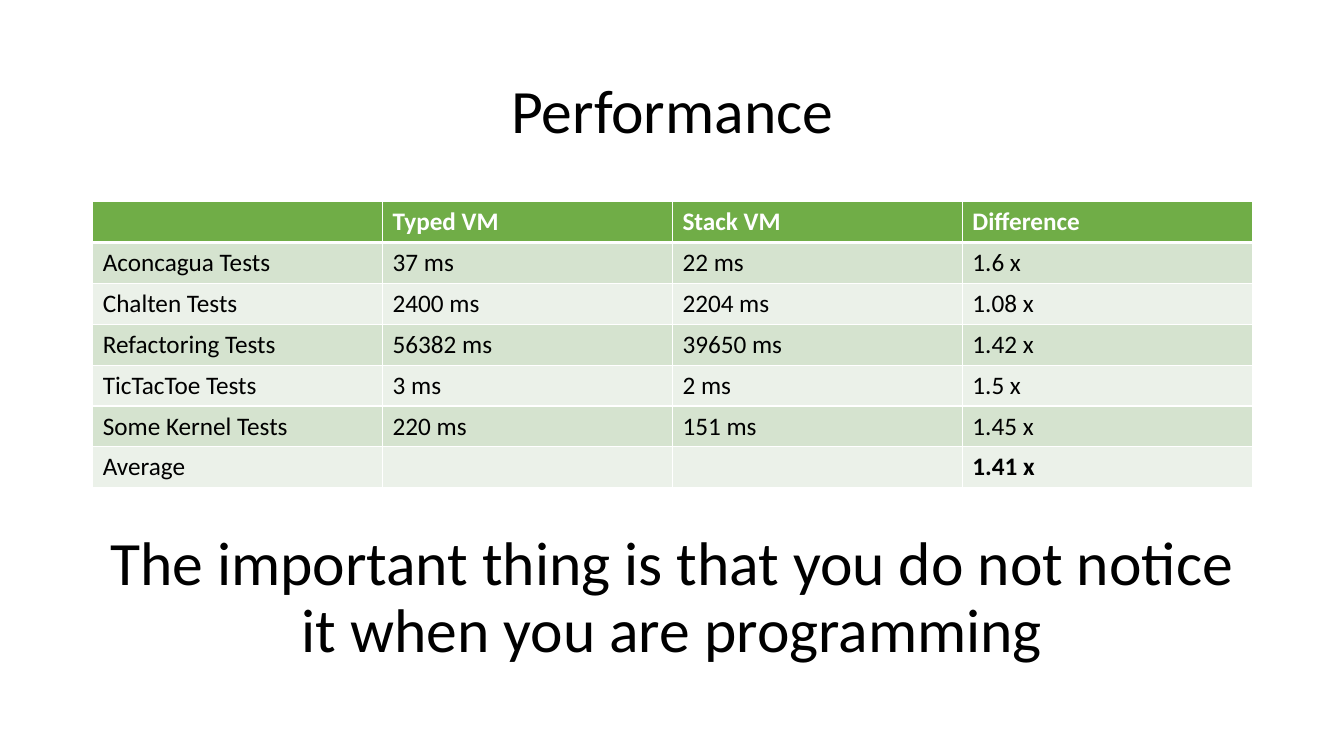
from lxml import etree
from pptx import Presentation
from pptx.dml.color import RGBColor
from pptx.enum import text
from pptx.oxml import ns
from pptx.util import Inches, Pt

FONT = "Calibri"
BLACK, WHITE = "000000", "FFFFFF"
HEADER_FILL = "70AD47"
BAND_FILLS = ("EBF1E9", "D5E3CF")
TITLE = "Performance"
MESSAGE = "The important thing is that you do not notice it when you are programming"
RESULTS = [
    ("", "Typed VM", "Stack VM", "Difference"),
    ("Aconcagua Tests", "37 ms", "22 ms", "1.6 x"),
    ("Chalten Tests", "2400 ms", "2204 ms", "1.08 x"),
    ("Refactoring Tests", "56382 ms", "39650 ms", "1.42 x"),
    ("TicTacToe Tests", "3 ms", "2 ms", "1.5 x"),
    ("Some Kernel Tests", "220 ms", "151 ms", "1.45 x"),
    ("Average", "", "", "1.41 x"),
]
LEFT, WIDTH = 0.92, 11.5
TABLE_TOP, TABLE_HEIGHT = 2, 2.84
HEADLINE_HEIGHT = 1.45


def color(value):
    return RGBColor.from_string(value)


def add_run(paragraph, words, size, fill, bold=False):
    run = paragraph.add_run()
    run.text = words
    run.font.name = FONT
    run.font.size = Pt(size)
    run.font.bold = bold
    run.font.color.rgb = color(fill)


def write_headline(shape, top, words):
    shape.left, shape.top = Inches(LEFT), Inches(top)
    shape.width, shape.height = Inches(WIDTH), Inches(HEADLINE_HEIGHT)
    frame = shape.text_frame
    frame.word_wrap = True
    frame.auto_size = text.MSO_AUTO_SIZE.NONE
    frame.vertical_anchor = text.MSO_ANCHOR.MIDDLE
    paragraph = frame.paragraphs[0]
    paragraph.alignment = text.PP_ALIGN.CENTER
    paragraph.line_spacing = 0.9
    add_run(paragraph, words, 44, BLACK)


def set_borders(cell, widths):
    properties = cell._tc.get_or_add_tcPr()
    for position, (side, width) in enumerate(widths.items()):
        line = etree.Element(ns.qn(f"a:ln{side}"), w=str(Pt(width)))
        fill = etree.SubElement(line, ns.qn("a:solidFill"))
        etree.SubElement(fill, ns.qn("a:srgbClr"), val=WHITE)
        properties.insert(position, line)


def add_results(slide):
    rows, columns = len(RESULTS), len(RESULTS[0])
    table = slide.shapes.add_table(
        rows, columns, Inches(LEFT), Inches(TABLE_TOP), Inches(WIDTH), Inches(TABLE_HEIGHT)
    ).table
    for row, values in enumerate(RESULTS):
        header = row == 0
        for column, value in enumerate(values):
            cell = table.cell(row, column)
            cell.fill.solid()
            cell.fill.fore_color.rgb = color(HEADER_FILL if header else BAND_FILLS[row % 2])
            set_borders(cell, {"L": 1, "R": 1, "T": 3 if row == 1 else 1, "B": 3 if header else 1})
            if value:
                average = row == rows - 1 and column == columns - 1
                add_run(cell.text_frame.paragraphs[0], value, 18,
                        WHITE if header else BLACK, header or average)


def main():
    presentation = Presentation()
    presentation.slide_width, presentation.slide_height = Inches(13.33), Inches(7.5)
    slide = presentation.slides.add_slide(presentation.slide_layouts[5])
    write_headline(slide.shapes.title, 0.4, TITLE)
    add_results(slide)
    message = slide.shapes.add_textbox(0, 0, 0, 0)
    write_headline(message, 5.22, MESSAGE)
    presentation.save("out.pptx")


if __name__ == "__main__":
    main()
